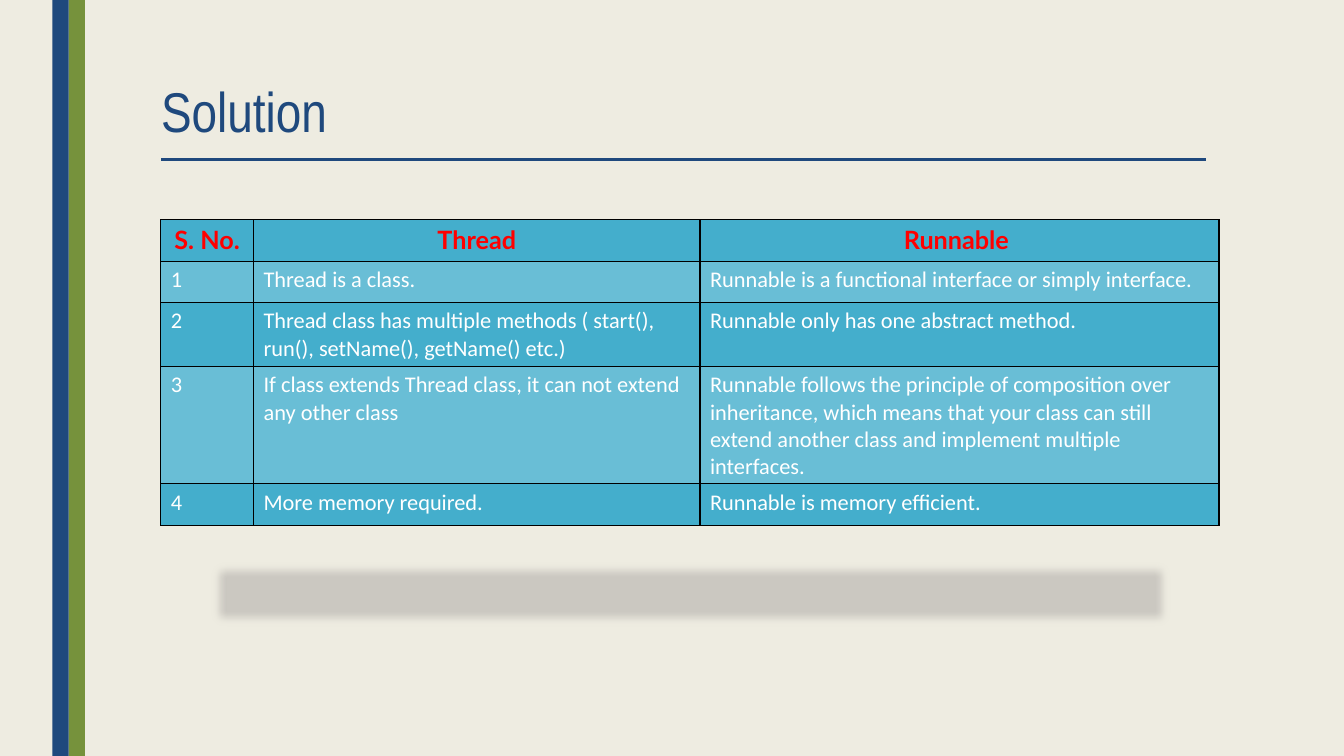
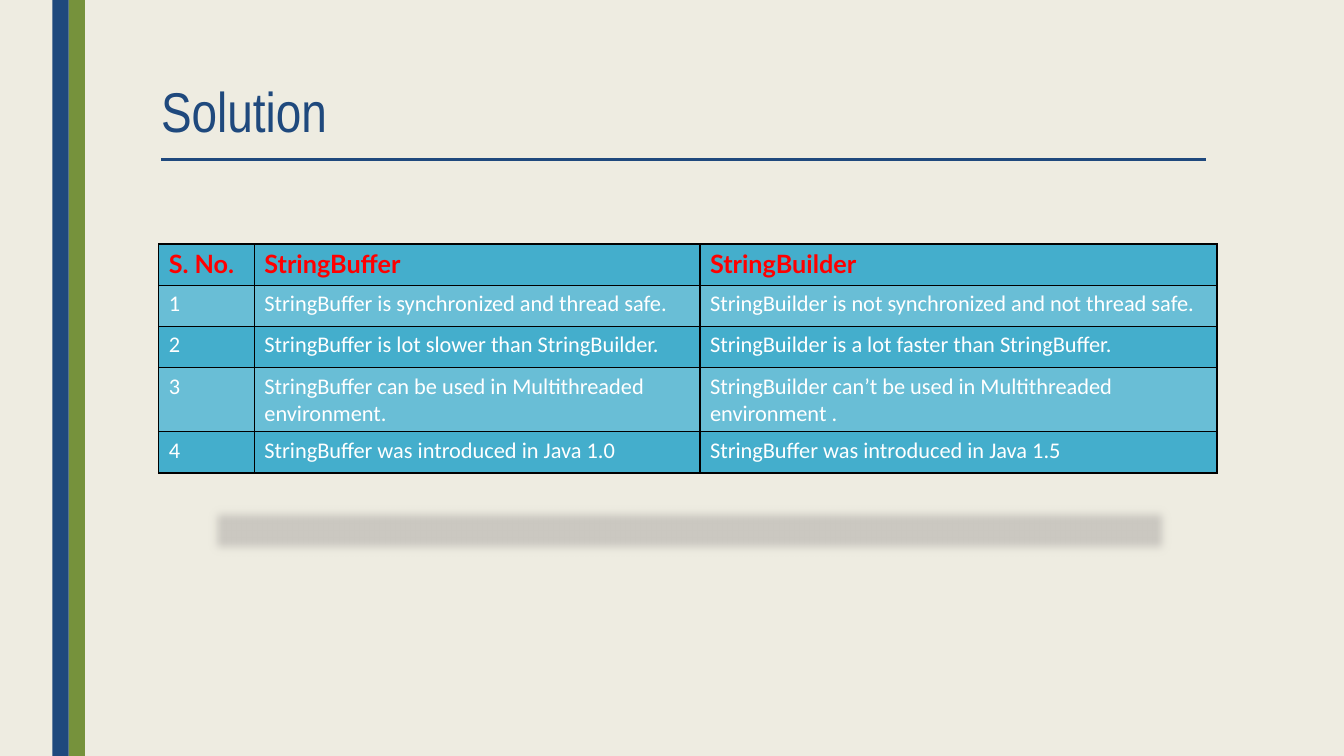
import pptx
import pptx.util
import pptx.dml.color
import pptx.enum.shapes
import pptx.enum.text
import pptx.oxml
import pptx.oxml.ns

Cm, Pt = pptx.util.Cm, pptx.util.Pt
ALIGN = pptx.enum.text.PP_ALIGN

# Content
SLIDES = [
    {
        "title": "Solution",
        "corner": (4.05, 5.54),
        "columns": (2.34, 11.25, 13.08),
        "header_align": ALIGN.CENTER,
        "shadow": (5.25, 14.1, 24.3, 1.75),
        "rows": [
            ("S. No.", "Thread", "Runnable "),
            ("1", "Thread is a class. ",
             "Runnable is a functional interface or simply interface."),
            ("2", "Thread class has multiple methods ( start(), run(), setName(), getName() etc.)",
             "Runnable only has one abstract method."),
            ("3", "If class extends Thread class, it can not extend any other class",
             "Runnable follows the principle of composition over inheritance, which means that "
             "your class can still extend another class and implement multiple interfaces."),
            ("4", "More memory required.", "Runnable is memory efficient."),
        ],
    },
    {
        "title": "Solution",
        "corner": (4.0, 6.15),
        "columns": (2.41, 11.23, 13.03),
        "header_align": ALIGN.LEFT,
        "shadow": (5.2, 12.7, 24.35, 1.35),
        "rows": [
            ("S. No.", "StringBuffer", "StringBuilder"),
            ("1", "StringBuffer is synchronized and thread safe.",
             "StringBuilder is not synchronized and not thread safe."),
            ("2", "StringBuffer is lot slower than StringBuilder.",
             "StringBuilder is a lot faster than StringBuffer."),
            ("3", "StringBuffer can be used in Multithreaded environment.",
             "StringBuilder can\u2019t be used in Multithreaded environment ."),
            ("4", "StringBuffer was introduced in Java 1.0",
             "StringBuffer was introduced in Java 1.5"),
        ],
    },
]

# Shared look
COLORS = {
    "page": "EEECE1", "navy": "1F497D", "green": "76923C", "header": "FF0000",
    "body": "FFFFFF", "row": "44AECC", "light_row": "69BED6",
    "border": "000000", "shadow": "CBC8C1",
}
FONTS = {
    "title": {"name": "Arial Narrow", "size": Pt(40), "bold": False},
    "header": {"name": "Lato", "size": Pt(18), "bold": True},
    "body": {"name": "Calibri", "size": Pt(16), "bold": False},
}
BANDS = [("green", 1.73), ("navy", 1.32)]
BAND_WIDTH = 0.41
ROW_HEIGHT = 1.04
RULE = (4.06, 4.01, 30.38, 4.01)
TITLE_BOX = (3.81, 1.9, 26.67, 2.0)
SIDES = ("lnL", "lnR", "lnT", "lnB")


def color(name):
    return pptx.dml.color.RGBColor.from_string(COLORS[name])


def lengths(values):
    return [Cm(value) for value in values]


def element(markup):
    """Parse one drawing element, adding its namespace."""
    head, rest = markup[:markup.index(">")], markup[markup.index(">"):]
    if head.endswith("/"):
        head, rest = head[:-1], "/" + rest
    return pptx.oxml.parse_xml(f"{head} {pptx.oxml.ns.nsdecls('a')}{rest}")


def write(para, text, style, ink):
    span = para.add_run()
    span.text = text
    for key, value in FONTS[style].items():
        setattr(span.font, key, value)
    span.font.color.rgb = color(ink)


def add_block(page, place, fill):
    block = page.shapes.add_shape(pptx.enum.shapes.MSO_SHAPE.RECTANGLE, *lengths(place))
    block.shadow.inherit = False
    block.fill.solid()
    block.fill.fore_color.rgb = color(fill)
    block.line.fill.background()
    return block


def add_frame(page, title):
    """Background, side bands, title and the rule below it."""
    page.background.fill.solid()
    page.background.fill.fore_color.rgb = color("page")
    for fill, left in BANDS:
        add_block(page, (left, 0, BAND_WIDTH, 19.05), fill)

    rule = page.shapes.add_connector(
        pptx.enum.shapes.MSO_CONNECTOR.STRAIGHT, *lengths(RULE))
    rule.line.color.rgb = color("navy")
    rule.line.width = Pt(2.25)
    rule.element.spPr.append(element("<a:effectLst/>"))

    box = page.shapes.add_textbox(*lengths(TITLE_BOX))
    box.text_frame.word_wrap = True
    box.text_frame.vertical_anchor = pptx.enum.text.MSO_ANCHOR.MIDDLE
    para = box.text_frame.paragraphs[0]
    para.line_spacing = 0.89
    write(para, title, "title", "navy")


def add_shadow(page, place):
    block = add_block(page, place, "shadow")
    effects = block.element.spPr.find(pptx.oxml.ns.qn("a:effectLst"))
    effects.append(element(f'<a:softEdge rad="{Cm(0.25)}"/>'))


def add_borders(cell):
    properties = cell._tc.get_or_add_tcPr()
    for index, side in enumerate(SIDES):
        properties.insert(index, element(
            f'<a:{side} w="{Pt(1)}"><a:solidFill><a:srgbClr val="{COLORS["border"]}"/>'
            f'</a:solidFill></a:{side}>'))


def add_comparison(page, content):
    rows, columns = content["rows"], content["columns"]
    size = (sum(columns), ROW_HEIGHT * len(rows))
    table = page.shapes.add_table(
        len(rows), len(columns), *lengths(content["corner"] + size)).table
    for column, width in zip(table.columns, columns):
        column.width = Cm(width)
    for number, texts in enumerate(rows):
        table.rows[number].height = Cm(ROW_HEIGHT)
        style = "body" if number else "header"
        for position, text in enumerate(texts):
            cell = table.cell(number, position)
            cell.fill.solid()
            cell.fill.fore_color.rgb = color("light_row" if number % 2 else "row")
            add_borders(cell)
            para = cell.text_frame.paragraphs[0]
            para.alignment = ALIGN.LEFT if number else content["header_align"]
            write(para, text, style, style)


# Build the deck
deck = pptx.Presentation()
deck.slide_width, deck.slide_height = Cm(33.87), Cm(19.05)
for content in SLIDES:
    page = deck.slides.add_slide(deck.slide_layouts[6])
    add_frame(page, content["title"])
    add_shadow(page, content["shadow"])
    add_comparison(page, content)
deck.save("out.pptx")
